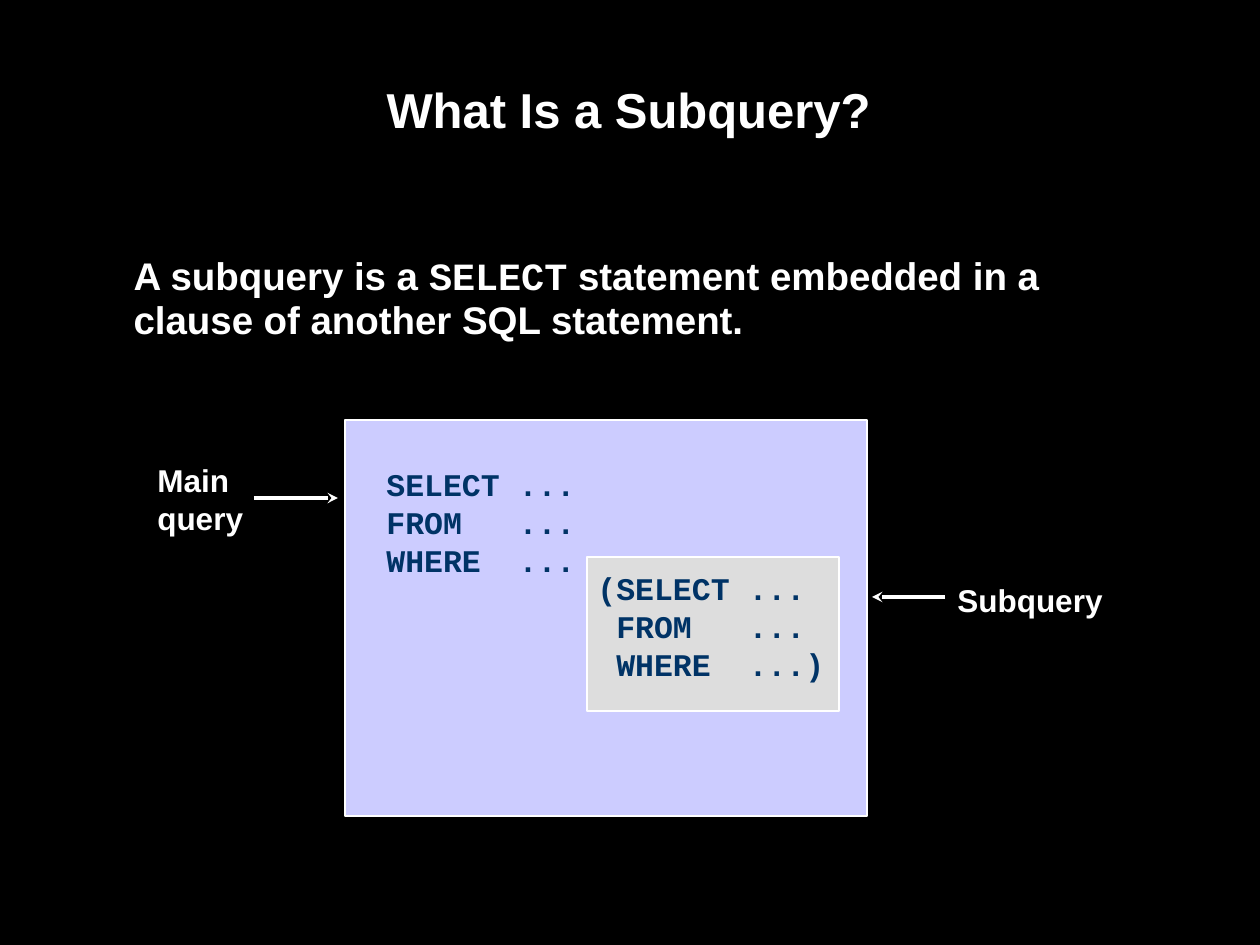
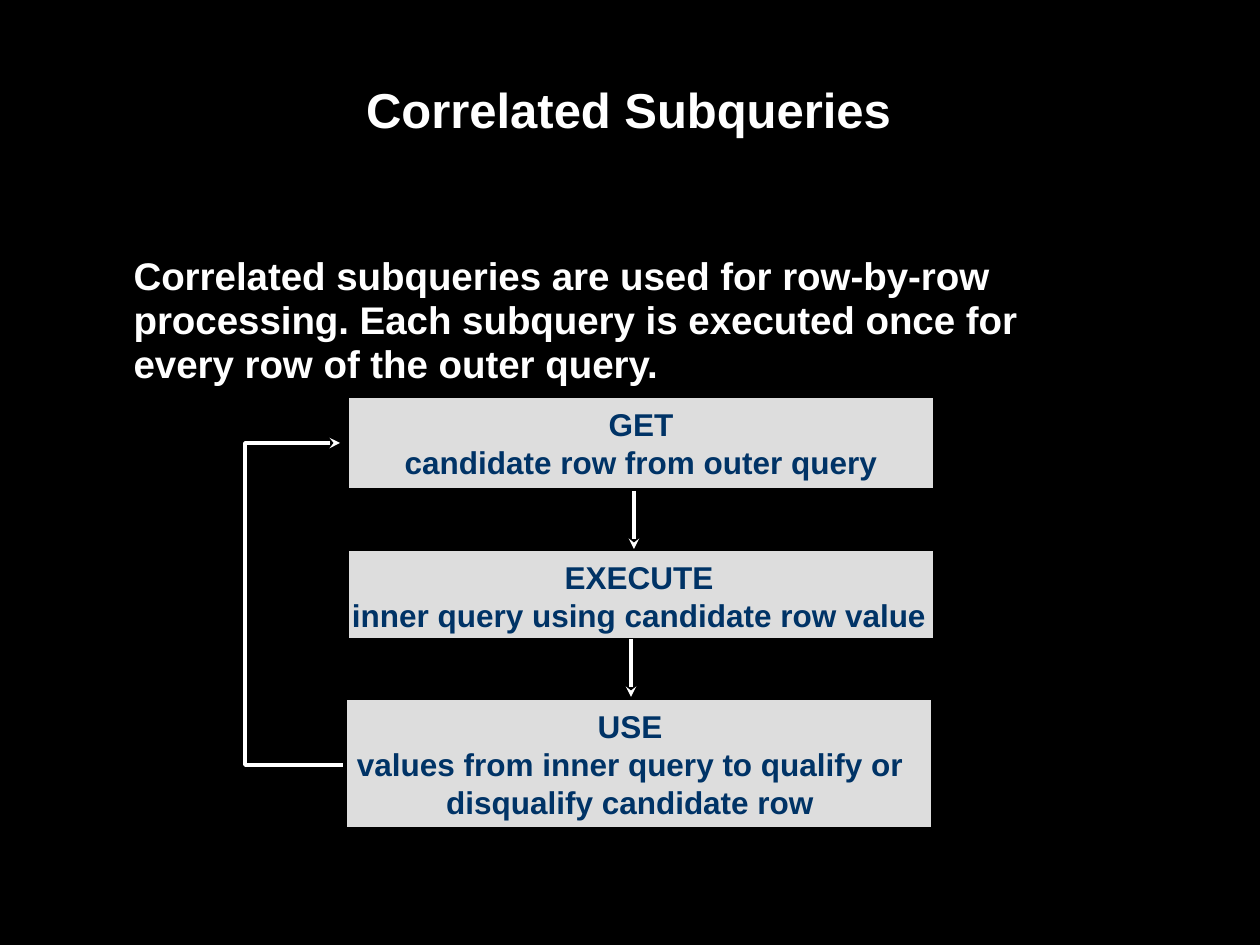
from lxml import etree
from pptx import Presentation
from pptx.dml.color import RGBColor
from pptx.enum.shapes import MSO_CONNECTOR, MSO_SHAPE
from pptx.enum.text import MSO_ANCHOR, MSO_AUTO_SIZE, PP_ALIGN
from pptx.oxml.ns import qn
from pptx.util import Emu, Pt

BLACK = RGBColor(0x00, 0x00, 0x00)
WHITE = RGBColor(0xFF, 0xFF, 0xFF)
NAVY = RGBColor(0x00, 0x33, 0x66)
LAVENDER = RGBColor(0xCC, 0xCC, 0xFF)
GREY = RGBColor(0xDD, 0xDD, 0xDD)

SANS, MONO = "Arial", "Courier New"
LEFT, CENTER = PP_ALIGN.LEFT, PP_ALIGN.CENTER
TOP, NO_FIT = MSO_ANCHOR.TOP, MSO_AUTO_SIZE.NONE
RECT, STRAIGHT = MSO_SHAPE.RECTANGLE, MSO_CONNECTOR.STRAIGHT

PX_PER_INCH = 126
HANGING = 55


def px(n):
    return Emu(round(n * 914400 / PX_PER_INCH))


class Deck:
    """Holds the shared style and the current slide."""

    def __init__(self):
        self.prs = Presentation()
        self.prs.slide_width, self.prs.slide_height = px(1260), px(945)
        self.s = None

    def slide(self, title):
        self.s = self.prs.slides.add_slide(self.prs.slide_layouts[1])
        fill = self.s.background.fill
        fill.solid()
        fill.fore_color.rgb = BLACK
        self.place(self.s.shapes.title, 118, 73, 1021, 121)
        self.add_lines(self.s.shapes.title.text_frame, [title], 28, align=CENTER)

    def place(self, sp, x, y, w, h):
        sp.left, sp.top, sp.width, sp.height = px(x), px(y), px(w), px(h)

    def add_lines(self, tf, lines, size, color=WHITE, font=SANS, align=LEFT, wrap=True):
        """Each line is a string or a list of (text, font) runs."""
        tf.word_wrap, tf.auto_size, tf.vertical_anchor = wrap, NO_FIT, TOP
        for i, line in enumerate(lines):
            p = tf.add_paragraph() if i else tf.paragraphs[0]
            p.alignment = align
            p.space_before = Pt(0)
            for text, face in [(line, font)] if isinstance(line, str) else line:
                r = p.add_run()
                r.text = text
                r.font.name, r.font.size, r.font.bold = face, Pt(size), True
                r.font.color.rgb = color

    def body(self, lines, h):
        sp = self.s.placeholders[1]
        self.place(sp, 121, 249, 1018, h)
        self.add_lines(sp.text_frame, lines, 22)
        for p in sp.text_frame.paragraphs:
            p.line_spacing = 0.95
            pPr = p._p.get_or_add_pPr()
            pPr.set("marL", str(px(HANGING)))
            pPr.set("indent", str(-px(HANGING)))
            etree.SubElement(pPr, qn("a:buNone"))

    def text(self, x, y, w, h, lines, **style):
        sp = self.s.shapes.add_textbox(px(x), px(y), px(w), px(h))
        self.add_lines(sp.text_frame, lines, 18, **style)

    def box(self, x, y, w, h, color, border=WHITE, width=1):
        sp = self.s.shapes.add_shape(RECT, px(x), px(y), px(w), px(h))
        sp.shadow.inherit = False
        sp.fill.solid()
        sp.fill.fore_color.rgb = color
        sp.line.color.rgb, sp.line.width = border, Pt(width)

    def arrow_line(self, line):
        line.color.rgb, line.width = WHITE, Pt(2)
        etree.SubElement(line._get_or_add_ln(), qn("a:tailEnd"), type="stealth")

    def arrow(self, x1, y1, x2, y2):
        c = self.s.shapes.add_connector(STRAIGHT, px(x1), px(y1), px(x2), px(y2))
        self.arrow_line(c.line)
        etree.SubElement(c._element.spPr, qn("a:effectLst"))

    def bent_arrow(self, points):
        start, *rest = [(px(x), px(y)) for x, y in points]
        fb = self.s.shapes.build_freeform(*start)
        fb.add_line_segments(rest, close=False)
        sp = fb.convert_to_shape()
        sp.shadow.inherit = False
        sp.fill.background()
        self.arrow_line(sp.line)


def what_is_a_subquery(d):
    d.slide("What Is a Subquery?")
    d.body([[("A subquery is a ", SANS), ("SELECT", MONO),
             (" statement embedded in a", SANS)],
            "clause of another SQL statement."], 101)

    # Main query with the subquery nested in it
    code = dict(color=NAVY, font=MONO, wrap=False)
    d.box(345, 420, 522, 396, LAVENDER)
    d.text(374, 459, 233, 126, ["SELECT ...", "FROM   ...", "WHERE  ..."], **code)
    d.box(587, 557, 252, 154, GREY)
    d.text(585, 563, 252, 126, ["(SELECT ...", " FROM   ...", " WHERE  ...)"], **code)

    # Labels and their arrows
    d.text(145, 455, 111, 88, ["Main", "query"], wrap=False)
    d.text(945, 575, 171, 50, ["Subquery"], wrap=False)
    d.arrow(254, 498, 338, 498)
    d.arrow(945, 597, 872, 597)


def correlated_subqueries(d):
    d.slide("Correlated Subqueries")
    d.body(["Correlated subqueries are used for row-by-row",
            "processing. Each subquery is executed once for",
            "every row of the outer query."], 145)

    # Loop back from the last step to the first
    d.bent_arrow([(349, 765), (245, 765), (245, 443), (340, 443)])

    # Steps: box x, y, height; text x, width; wrap; lines
    steps = [
        (347, 396, 94, 348, 586, True, ["GET", "candidate row from outer query"]),
        (347, 549, 91, 339, 600, False,
         ["EXECUTE", "inner query using candidate row value"]),
        (345, 698, 131, 336, 588, True,
         ["USE", "values from inner query to qualify or disqualify candidate row"]),
    ]
    for x, y, h, text_x, text_w, wrap, lines in steps:
        d.box(x, y, 588, h, GREY, BLACK, 2)
        d.text(text_x, y + 3, text_w, h - 5, lines,
               color=NAVY, align=CENTER, wrap=wrap)

    # Arrows between the steps
    d.arrow(634, 491, 634, 549)
    d.arrow(631, 639, 631, 697)


def main():
    d = Deck()
    what_is_a_subquery(d)
    correlated_subqueries(d)
    d.prs.save("out.pptx")


if __name__ == "__main__":
    main()
